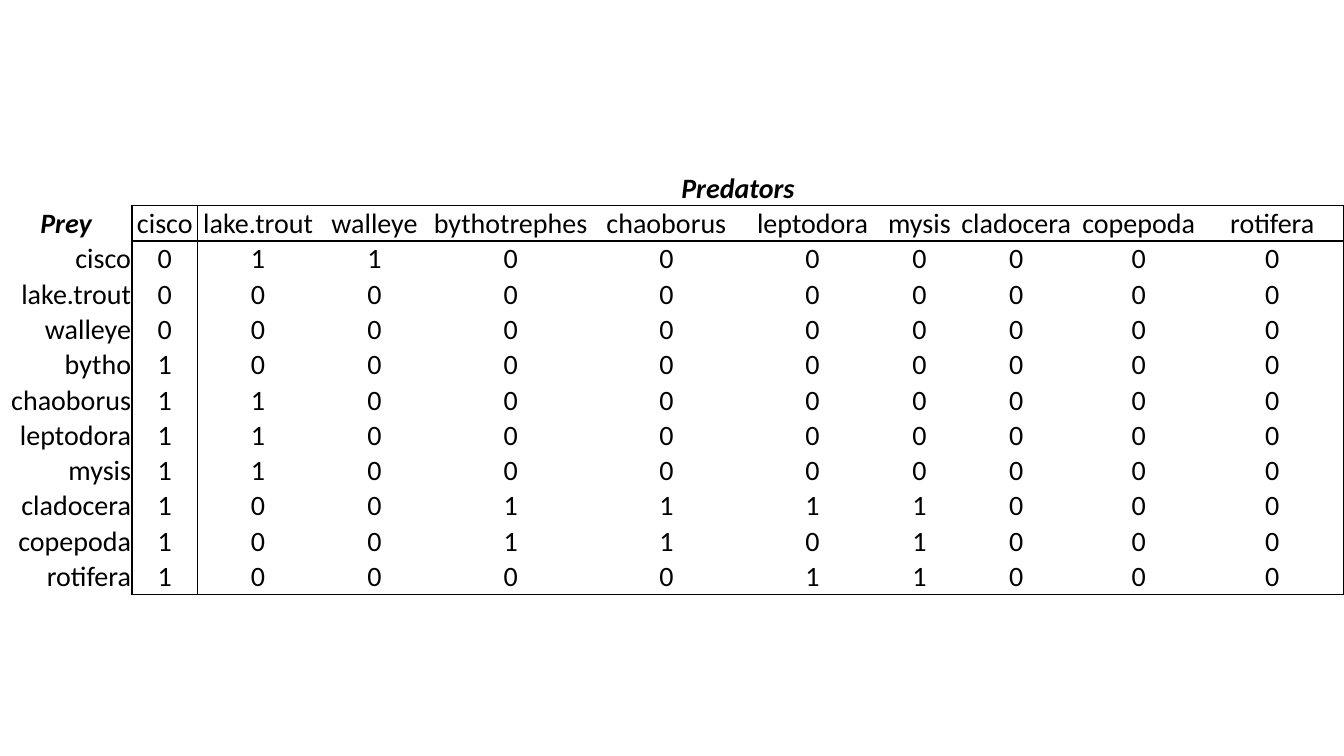
from dataclasses import dataclass

from lxml.etree import SubElement
from pptx import Presentation
from pptx.dml.color import RGBColor
from pptx.enum.text import MSO_VERTICAL_ANCHOR as Anchor, PP_PARAGRAPH_ALIGNMENT as Align
from pptx.oxml.ns import qn
from pptx.table import Table, _Cell as Cell
from pptx.util import Inches, Pt

BLACK = RGBColor(0x00, 0x00, 0x00)
WHITE = RGBColor(0xFF, 0xFF, 0xFF)
NO_STYLE = "{2D5ABB26-0587-4C30-8999-92F81FD0307C}"

TABLE_TOP = 1.69
ROW_HEIGHT = 0.35
LABEL_WIDTH = 1.31


@dataclass(frozen=True)
class Predator:
    name: str
    width: float


@dataclass(frozen=True)
class Prey:
    name: str
    eaten_by: str  # one digit per predator


@dataclass(frozen=True)
class CellStyle:
    align: Align = Align.CENTER
    anchor: Anchor = Anchor.MIDDLE
    strong: bool = False


HEADING = CellStyle(strong=True)
PREDATOR_NAME = CellStyle()
PREY_NAME = CellStyle(align=Align.RIGHT)
LINK = CellStyle(anchor=Anchor.BOTTOM)

PREDATORS = [
    Predator("cisco", 0.65),
    Predator("lake.trout", 1.2),
    Predator("walleye", 1.11),
    Predator("bythotrephes", 1.59),
    Predator("chaoborus", 1.5),
    Predator("leptodora", 1.4),
    Predator("mysis", 0.72),
    Predator("cladocera", 1.2),
    Predator("copepoda", 1.23),
    Predator("rotifera", 1.42),
]
PREYS = [
    Prey("cisco", "0110000000"),
    Prey("lake.trout", "0000000000"),
    Prey("walleye", "0000000000"),
    Prey("bytho", "1000000000"),
    Prey("chaoborus", "1100000000"),
    Prey("leptodora", "1100000000"),
    Prey("mysis", "1100000000"),
    Prey("cladocera", "1001111000"),
    Prey("copepoda", "1001101000"),
    Prey("rotifera", "1000011000"),
]
LAST_ROW = len(PREYS) + 1
LAST_COLUMN = len(PREDATORS)


def apply(target: object, values: dict) -> None:
    for name, value in values.items():
        setattr(target, name, value)


def border_sides(row: int, column: int) -> list[str]:
    """Sides of a cell that lie on the frame around the matrix, in schema order."""
    in_matrix = row > 0 and column > 0
    on_frame = {
        "L": in_matrix and column == 1,
        "R": row > 0 and column in (0, LAST_COLUMN),
        "T": in_matrix and row == 1,
        "B": column > 0 and row in (0, LAST_ROW),
    }
    return [side for side, drawn in on_frame.items() if drawn]


def draw_border(cell: Cell, side: str) -> None:
    properties = cell._tc.get_or_add_tcPr()
    line = SubElement(properties, qn(f"a:ln{side}"), w=str(Pt(1)))
    fill = SubElement(line, qn("a:solidFill"))
    SubElement(fill, qn("a:srgbClr"), val=str(BLACK))


def format_cell(table: Table, row: int, column: int) -> None:
    cell = table.cell(row, column)
    for side in border_sides(row, column):
        draw_border(cell, side)
    cell.fill.solid()
    cell.fill.fore_color.rgb = WHITE
    apply(cell, {
        "margin_left": Inches(0.01),
        "margin_right": Inches(0.01),
        "margin_top": Inches(0.01),
        "margin_bottom": 0,
    })


def write_cell(table: Table, row: int, column: int, text: str, style: CellStyle) -> None:
    cell = table.cell(row, column)
    cell.vertical_anchor = style.anchor
    para = cell.text_frame.paragraphs[0]
    para.alignment = style.align
    span = para.add_run()
    span.text = text
    apply(span.font, {
        "name": "Calibri",
        "size": Pt(20),
        "bold": style.strong,
        "italic": style.strong,
    })
    span.font.color.rgb = BLACK


def main() -> None:
    deck = Presentation()
    apply(deck, {"slide_width": Inches(13.33), "slide_height": Inches(7.5)})
    page = deck.slides.add_slide(deck.slide_layouts[6])

    widths = [LABEL_WIDTH] + [predator.width for predator in PREDATORS]
    row_count = LAST_ROW + 1
    table = page.shapes.add_table(
        row_count, len(widths), 0, Inches(TABLE_TOP),
        Inches(sum(widths)), Inches(ROW_HEIGHT * row_count),
    ).table
    apply(table, {"first_row": False, "horz_banding": False})
    table._tbl.tblPr.find(qn("a:tableStyleId")).text = NO_STYLE

    for table_column, width in zip(table.columns, widths):
        table_column.width = Inches(width)
    for row in range(row_count):
        for column in range(len(widths)):
            format_cell(table, row, column)

    table.cell(0, 1).merge(table.cell(0, LAST_COLUMN))
    write_cell(table, 0, 1, "Predators", HEADING)
    write_cell(table, 1, 0, "Prey", HEADING)
    for column, predator in enumerate(PREDATORS, start=1):
        write_cell(table, 1, column, predator.name, PREDATOR_NAME)
    for row, prey in enumerate(PREYS, start=2):
        write_cell(table, row, 0, prey.name, PREY_NAME)
        for column, link in enumerate(prey.eaten_by, start=1):
            write_cell(table, row, column, link, LINK)

    deck.save("out.pptx")


if __name__ == "__main__":
    main()
